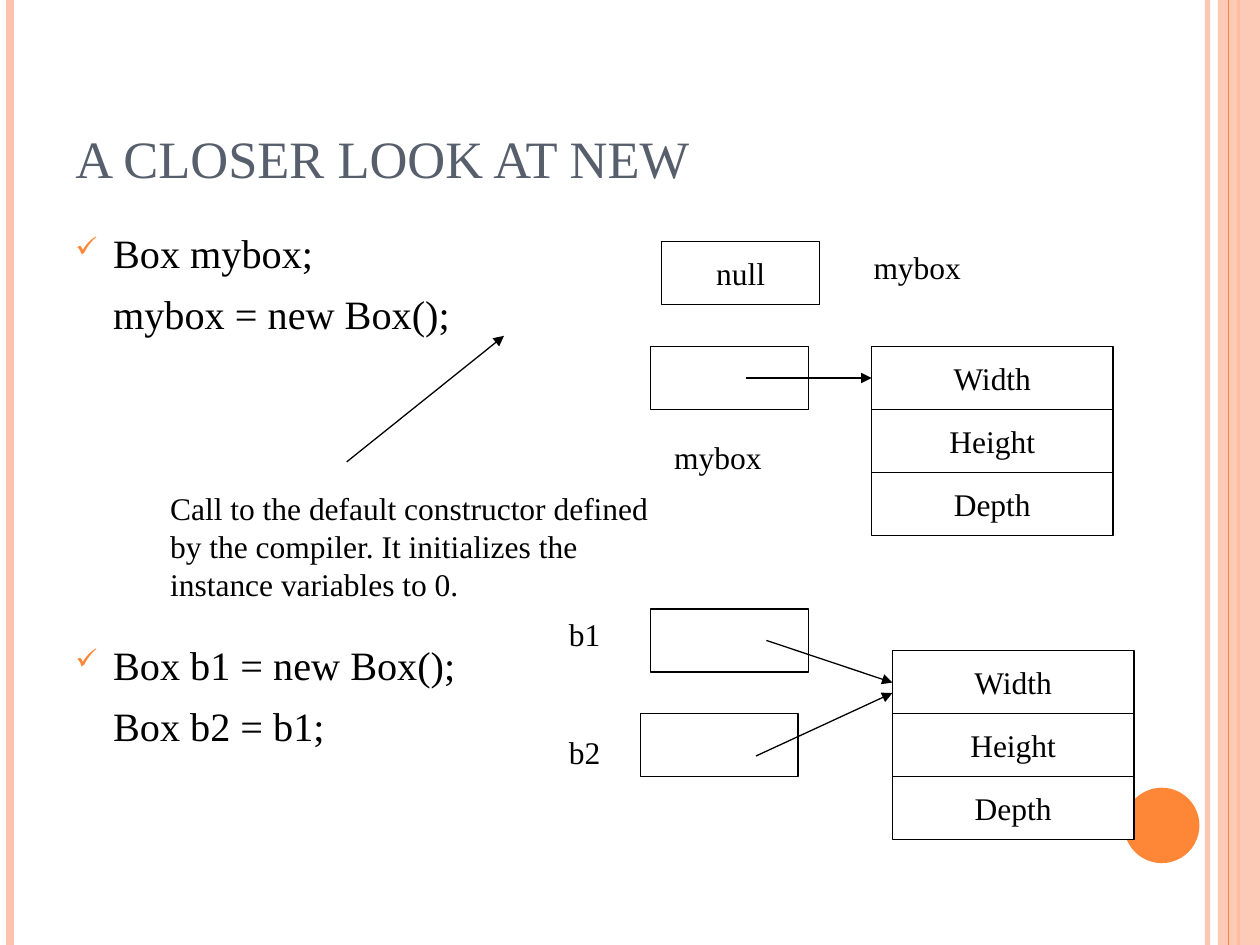
from lxml import etree
from pptx import Presentation
from pptx.dml.color import RGBColor
from pptx.enum.shapes import MSO_CONNECTOR as Connector, MSO_SHAPE as Shape
from pptx.enum.text import MSO_ANCHOR as Anchor, PP_ALIGN as Align
from pptx.oxml import parse_xml
from pptx.oxml.ns import nsdecls, qn
from pptx.util import Cm, Pt


def paint(color_format, color, alpha=100):
    color_format.rgb = RGBColor.from_string(color)
    if alpha < 100:
        hex_color = color_format._xFill.find(qn("a:srgbClr"))
        etree.SubElement(hex_color, qn("a:alpha"), val=str(alpha * 1000))


def write(paragraph, text, size, color="000000"):
    paragraph.text = text
    paragraph.font.name = "Times New Roman"
    paragraph.font.size = Pt(size)
    paint(paragraph.font.color, color)


deck = Presentation()
deck.slide_width, deck.slide_height = Cm(25.4), Cm(19.05)
slide = deck.slides.add_slide(deck.slide_layouts[6])
shapes = slide.shapes

PEACH, ORANGE, BLACK, WHITE = "FEC3AE", "FE8637", "000000", "FFFFFF"

stripes = [(24.34, PEACH, 3, 93), (0.21, PEACH, 4.5, 100), (24.97, ORANGE, 1.5, 100)]
edge_stripe = (24.77, ORANGE, 0.75, 100)
for x, color, weight, alpha in stripes + [edge_stripe]:
    if x == edge_stripe[0]:
        band = shapes.add_shape(Shape.RECTANGLE, Cm(24.55), 0, Cm(0.85), Cm(19.05))
        band.shadow.inherit = False
        band.fill.solid()
        paint(band.fill.fore_color, PEACH)
        band_color = band._element.spPr.find(qn("a:solidFill"))[0]
        etree.SubElement(band_color, qn("a:alpha"), val="87000")
        band.line.fill.background()
    stripe = shapes.add_connector(Connector.STRAIGHT, Cm(x), 0, Cm(x), Cm(19.05))
    stripe.line.width = Pt(weight)
    paint(stripe.line.color, color)
    if alpha < 100:
        stripe_color = stripe.line._ln.find(qn("a:solidFill"))[0]
        etree.SubElement(stripe_color, qn("a:alpha"), val=str(alpha * 1000))
    etree.SubElement(stripe._element.spPr, qn("a:effectLst"))

disc = shapes.add_shape(Shape.OVAL, Cm(22.66), Cm(15.88), Cm(1.52), Cm(1.52))
disc.shadow.inherit = False
disc.fill.solid()
paint(disc.fill.fore_color, ORANGE)
disc.line.fill.background()

title = shapes.add_textbox(Cm(1.27), Cm(0.76), Cm(20.75), Cm(3.18)).text_frame
title.word_wrap = True
title.vertical_anchor = Anchor.BOTTOM
write(title.paragraphs[0], "A CLOSER LOOK AT NEW", 30, "575F6D")

statements = [
    (4.47, "Box mybox;", "mybox = new Box();"),
    (12.78, "Box b1 = new Box();", "Box b2 = b1;"),
]
for top, first, second in statements:
    code = shapes.add_textbox(Cm(1.27), Cm(top), Cm(10), Cm(2.6)).text_frame
    code.word_wrap = True
    bulleted, continued = code.paragraphs[0], code.add_paragraph()
    props = bulleted._p.get_or_add_pPr()
    props.set("marL", str(Cm(0.76)))
    props.set("indent", str(-Cm(0.76)))
    for bullet_part in (
        f'<a:buClr {nsdecls("a")}><a:srgbClr val="{ORANGE}"/></a:buClr>',
        f'<a:buSzPct {nsdecls("a")} val="70000"/>',
        f'<a:buChar {nsdecls("a")} char="✓"/>',
    ):
        props.append(parse_xml(bullet_part))
    continued._p.get_or_add_pPr().set("marL", str(Cm(0.76)))
    continued.space_before = Pt(7.25)
    write(bulleted, first, 23)
    write(continued, second, 23)

references = [
    (13.34, 4.87, 3.18, "null"),
    (13.12, 6.99, 3.18, ""),
    (13.12, 12.28, 3.18, ""),
    (12.91, 14.39, 3.18, ""),
]
fields = [
    (left, top + 1.27 * row, 4.87, field)
    for left, top in [(17.57, 6.99), (17.99, 13.12)]
    for row, field in enumerate(["Width", "Height", "Depth"])
]
for left, top, width, text in references + fields:
    cell = shapes.add_shape(Shape.RECTANGLE, Cm(left), Cm(top), Cm(width), Cm(1.27))
    cell.shadow.inherit = False
    cell.fill.solid()
    paint(cell.fill.fore_color, WHITE)
    paint(cell.line.color, BLACK)
    cell.line.width = Pt(0.75)
    if text:
        cell.text_frame.word_wrap = False
        cell.text_frame.vertical_anchor = Anchor.MIDDLE
        write(cell.text_frame.paragraphs[0], text, 18)
        cell.text_frame.paragraphs[0].alignment = Align.CENTER

explanation = (
    "Call to the default constructor defined by the compiler. "
    "It initializes the instance variables to 0."
)
labels = [
    (17.36, 4.87, 2.96, 1.02, "mybox"),
    (13.34, 8.71, 2.96, 1.02, "mybox"),
    (3.18, 9.74, 10.8, 2.54, explanation),
    (11.22, 12.28, 1.48, 1.02, "b1"),
    (11.22, 14.66, 1.48, 1.02, "b2"),
]
for left, top, width, height, text in labels:
    label = shapes.add_textbox(Cm(left), Cm(top), Cm(width), Cm(height)).text_frame
    label.word_wrap = True
    write(label.paragraphs[0], text, 18)

arrows = [
    (15.03, 7.62, 17.57, 7.62),
    (6.99, 9.31, 10.16, 6.77),
    (15.24, 15.24, 17.99, 13.97),
    (15.45, 12.91, 17.99, 13.76),
]
for ends in arrows:
    arrow = shapes.add_connector(Connector.STRAIGHT, *map(Cm, ends))
    paint(arrow.line.color, BLACK)
    arrow.line.width = Pt(0.75)
    etree.SubElement(arrow.line._ln, qn("a:tailEnd"), type="triangle")
    etree.SubElement(arrow._element.spPr, qn("a:effectLst"))

deck.save("out.pptx")
